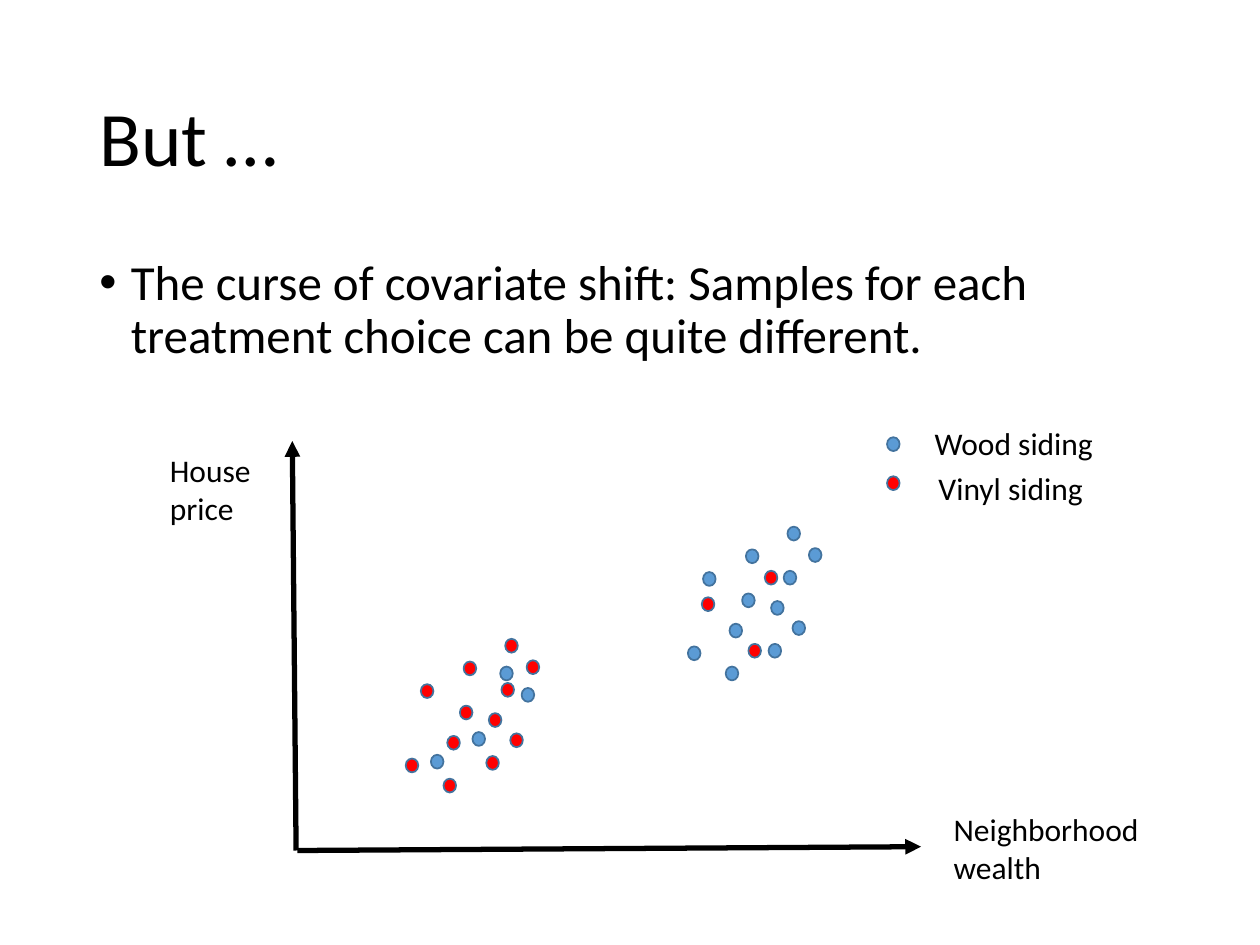
from lxml.etree import SubElement
from pptx import Presentation
from pptx.dml.color import RGBColor
from pptx.enum.shapes import MSO_CONNECTOR, MSO_SHAPE
from pptx.enum.text import MSO_ANCHOR, MSO_AUTO_SIZE
from pptx.oxml.ns import qn
from pptx.util import Inches, Pt

BLACK, WOOD, VINYL, OUTLINE = "000000", "5B9BD5", "FF0000", "43739E"

# Both clusters share one pattern of points, shifted from wealthy to modest.
CLUSTER = [
    (6.25, 4.18), (6.42, 4.35), (6.22, 4.53), (5.92, 4.36),
    (5.58, 4.54), (5.89, 4.71), (6.12, 4.77), (6.29, 4.93),
    (6.1, 5.11), (5.79, 4.95), (5.46, 5.13), (5.76, 5.29),
]
MODEST_SHIFT = (-2.24, 0.89)
MODEST_WOOD = [(3.97, 5.29), (4.14, 5.46), (3.75, 5.81), (3.42, 5.99)]
WEALTHY_VINYL = [(5.57, 4.74), (5.94, 5.11), (6.07, 4.53)]


def color(hex_string):
    return RGBColor.from_string(hex_string)


class SlideBuilder:
    font = "Calibri"

    def __init__(self, slide):
        self.slide = slide

    def text(self, text, left, top, width, height, size=18, wrap=False,
             anchor=MSO_ANCHOR.TOP, line_spacing=None, before=0, bullet=None):
        """Add a text box with one paragraph for each line of text."""
        box = self.slide.shapes.add_textbox(
            Inches(left), Inches(top), Inches(width), Inches(height))
        frame = box.text_frame
        frame.word_wrap = wrap
        frame.auto_size = MSO_AUTO_SIZE.NONE if wrap else MSO_AUTO_SIZE.SHAPE_TO_FIT_TEXT
        frame.vertical_anchor = anchor
        for index, line in enumerate(text.split("\n")):
            para = frame.add_paragraph() if index else frame.paragraphs[0]
            para.line_spacing = line_spacing
            para.space_before = Pt(before)
            if bullet:
                self.add_bullet(para, bullet)
            span = para.add_run()
            span.text = line
            span.font.name = self.font
            span.font.size = Pt(size)
            span.font.color.rgb = color(BLACK)

    def add_bullet(self, para, character, indent=0.25):
        properties = para._p.get_or_add_pPr()
        properties.set("marL", str(Inches(indent)))
        properties.set("indent", str(-Inches(indent)))
        SubElement(properties, qn("a:buFont"), typeface="Arial")
        SubElement(properties, qn("a:buChar"), char=character)

    def arrow(self, start, end):
        line = self.slide.shapes.add_connector(
            MSO_CONNECTOR.STRAIGHT, *map(Inches, start + end))
        line.line.color.rgb = color(BLACK)
        line.line.width = Pt(3)
        SubElement(line.line._get_or_add_ln(), qn("a:tailEnd"), type="triangle")
        SubElement(line._element.spPr, qn("a:effectLst"))

    def dots(self, points, fill, shift=(0, 0)):
        for left, top in points:
            dot = self.slide.shapes.add_shape(
                MSO_SHAPE.OVAL, Inches(left + shift[0]), Inches(top + shift[1]),
                Inches(0.1), Inches(0.11))
            dot.shadow.inherit = False
            dot.fill.solid()
            dot.fill.fore_color.rgb = color(fill)
            dot.line.color.rgb = color(OUTLINE)
            dot.line.width = Pt(1)


def main():
    deck = Presentation()
    deck.slide_width, deck.slide_height = Inches(10), Inches(7.5)
    page = SlideBuilder(deck.slides.add_slide(deck.slide_layouts[6]))

    page.text("But …", 0.69, 0.4, 8.62, 1.45, size=44, wrap=True,
              anchor=MSO_ANCHOR.MIDDLE, line_spacing=0.9)
    page.text("The curse of covariate shift: Samples for each treatment choice "
              "can be quite different.", 0.69, 2, 8.62, 0.64, size=28, wrap=True,
              line_spacing=0.9, before=10, bullet="•")

    page.arrow((2.35, 6.75), (2.32, 3.5))
    page.arrow((2.36, 6.75), (7.31, 6.72))
    page.text("Neighborhood\nwealth", 7.47, 6.38, 1.75, 0.71)
    page.text("House\nprice", 1.25, 3.53, 0.91, 0.71)

    page.dots(CLUSTER, WOOD)
    page.dots(CLUSTER, VINYL, MODEST_SHIFT)
    page.dots(MODEST_WOOD, WOOD)
    page.dots(WEALTHY_VINYL, VINYL)

    page.dots([(7.04, 3.47)], WOOD)
    page.text("Wood siding", 7.32, 3.32, 1.47, 0.4)
    page.dots([(7.04, 3.78)], VINYL)
    page.text("Vinyl siding", 7.35, 3.67, 1.36, 0.4)

    deck.save("out.pptx")


if __name__ == "__main__":
    main()
